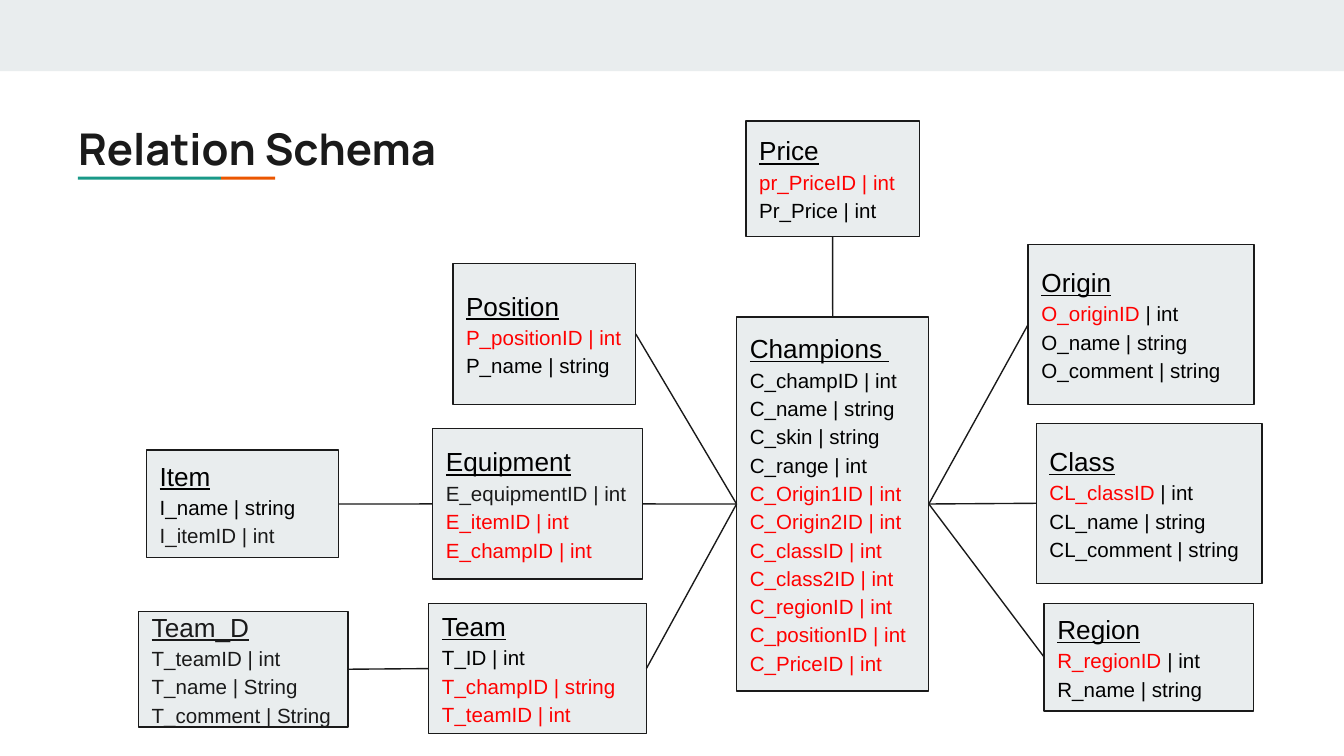
from pptx import Presentation
from pptx.dml.color import RGBColor as Rgb
from pptx.enum.shapes import MSO_CONNECTOR as Conn, MSO_SHAPE as Shape
from pptx.enum.text import MSO_ANCHOR as Anchor, MSO_AUTO_SIZE as Auto, PP_ALIGN as Align
from pptx.oxml.ns import qn
from pptx.util import Pt
from lxml.etree import SubElement

INK = {"black": "000000", "dark": "1A1A1A", "red": "FF0000",
       "pale": "E9EDEE", "teal": "1A9988", "orange": "EB5600"}
TOP, LEFT, BASE, RIGHT = range(4)

TABLES = {
    "Champions ": ((394.6, 169.9, 103, 200.2), "black", [
        ("black", "C_champID | int"), ("black", "C_name | string"),
        ("black", "C_skin | string"), ("black", "C_range | int"),
        ("red", "C_Origin1ID | int"), ("red", "C_Origin2ID | int"),
        ("red", "C_classID | int"), ("red", "C_class2ID | int"),
        ("red", "C_regionID | int"), ("red", "C_positionID | int"),
        ("red", "C_PriceID | int")]),
    "Origin": ((550.8, 131, 121, 85.7), "black", [
        ("key", "O_originID | int"), ("black", "O_name | string"),
        ("black", "O_comment | string")]),
    "Position": ((242.6, 141.1, 98, 75.6), "black", [
        ("red", "P_positionID | int"), ("black", "P_name | string")]),
    "Item": ((78.5, 241.2, 103, 57.6), "black", [
        ("black", "I_name | string"), ("dark", "I_itemID | int")]),
    "Region": ((559.4, 323.3, 112.3, 57.6), "black", [
        ("key", "R_regionID | int"), ("black", "R_name | string")]),
    "Price": ((399.6, 64.8, 92.9, 61.9), "black", [
        ("red", "pr_PriceID | int"), ("black", "Pr_Price | int")]),
    "Team": ((229.7, 323.3, 116.6, 69.8), "black", [
        ("black", "T_ID | int"), ("red", "T_champID | string"),
        ("red", "T_teamID | int")]),
    "Equipment": ((231.8, 229.7, 112.3, 80.6), "black", [
        ("dark", "E_equipmentID | int"), ("red", "E_itemID | int"),
        ("red", "E_champID | int")]),
    "Class": ((555.1, 226.8, 121, 85.7), "black", [
        ("key", "CL_classID | int"), ("black", "CL_name | string"),
        ("black", "CL_comment | string")]),
    "Team_D": ((74.2, 327.6, 112.3, 61.9), "dark", [
        ("dark", "T_teamID | int"), ("dark", "T_name | String"),
        ("dark", "T_comment | String")]),
}

LINKS = [
    ("Champions ", RIGHT, "Class", LEFT), ("Champions ", RIGHT, "Origin", LEFT),
    ("Champions ", RIGHT, "Region", LEFT), ("Champions ", TOP, "Price", BASE),
    ("Champions ", LEFT, "Position", RIGHT), ("Champions ", LEFT, "Equipment", RIGHT),
    ("Champions ", LEFT, "Team", RIGHT), ("Equipment", LEFT, "Item", RIGHT),
    ("Team_D", RIGHT, "Team", LEFT),
]


def tint(name):
    return Rgb.from_string(INK[name])


def style(font, size, ink, face="Arial"):
    font.name, font.size = face, Pt(size)
    font.color.rgb = tint(ink)


def add_rect(slide, rect, fill):
    shape = slide.shapes.add_shape(Shape.RECTANGLE, *map(Pt, rect))
    shape.shadow.inherit = False
    shape.fill.solid()
    shape.fill.fore_color.rgb = tint(fill)
    shape.line.fill.background()
    return shape


def set_frame(frame):
    frame.word_wrap = True
    frame.auto_size = Auto.NONE
    frame.vertical_anchor = Anchor.MIDDLE
    frame.margin_left = frame.margin_right = Pt(7.2)
    frame.margin_top = frame.margin_bottom = Pt(7.2)


def add_title(slide, text):
    title = slide.shapes.title
    title.left, title.top, title.width, title.height = map(Pt, (34.6, 58.3, 273.6, 42.5))
    set_frame(title.text_frame)
    title.text_frame.text = text
    para = title.text_frame.paragraphs[0]
    para.alignment = Align.LEFT
    style(para.font, 23.4, "dark", "Manrope")
    para.font.bold = True


def add_row(frame, ink, text):
    para = frame.add_paragraph()
    para.alignment = Align.LEFT
    para.line_spacing = 1.15
    if ink == "key":
        name, rest = text.split(" ", 1)
        style(para.font, 11, "black")
        for tone, part in (("red", name), ("black", " " + rest)):
            run = para.add_run()
            run.text = part
            style(run.font, 11, tone)
    else:
        para.text = text
        style(para.font, 11, ink)


def add_table(slide, name, rect, ink, rows):
    box = add_rect(slide, rect, "pale")
    box.line.color.rgb = tint("dark")
    box.line.width = Pt(0.75)
    frame = box.text_frame
    set_frame(frame)
    head = frame.paragraphs[0]
    head.text = name
    head.alignment = Align.LEFT
    style(head.font, 14, ink)
    head.font.underline = True
    for row in rows:
        add_row(frame, *row)
    return box


def add_link(slide, start, out, end, into):
    link = slide.shapes.add_connector(Conn.STRAIGHT, 0, 0, 0, 0)
    link.begin_connect(start, out)
    link.end_connect(end, into)
    link.line.color.rgb = tint("dark")
    link.line.width = Pt(0.75)
    SubElement(link._element.spPr, qn("a:effectLst"))


def main():
    """Build the relation schema slide."""
    deck = Presentation()
    deck.slide_width, deck.slide_height = Pt(720), Pt(405)
    slide = deck.slides.add_slide(deck.slide_layouts[5])
    add_rect(slide, (0, 0, 720, 38.2), "pale")
    add_rect(slide, (41.8, 94.7, 76.6, 1.6), "teal")
    add_rect(slide, (118.4, 94.7, 29, 1.6), "orange")
    add_title(slide, "Relation Schema")
    boxes = {name: add_table(slide, name, *data) for name, data in TABLES.items()}
    for start, out, end, into in LINKS:
        add_link(slide, boxes[start], out, boxes[end], into)
    deck.save("out.pptx")


if __name__ == "__main__":
    main()
